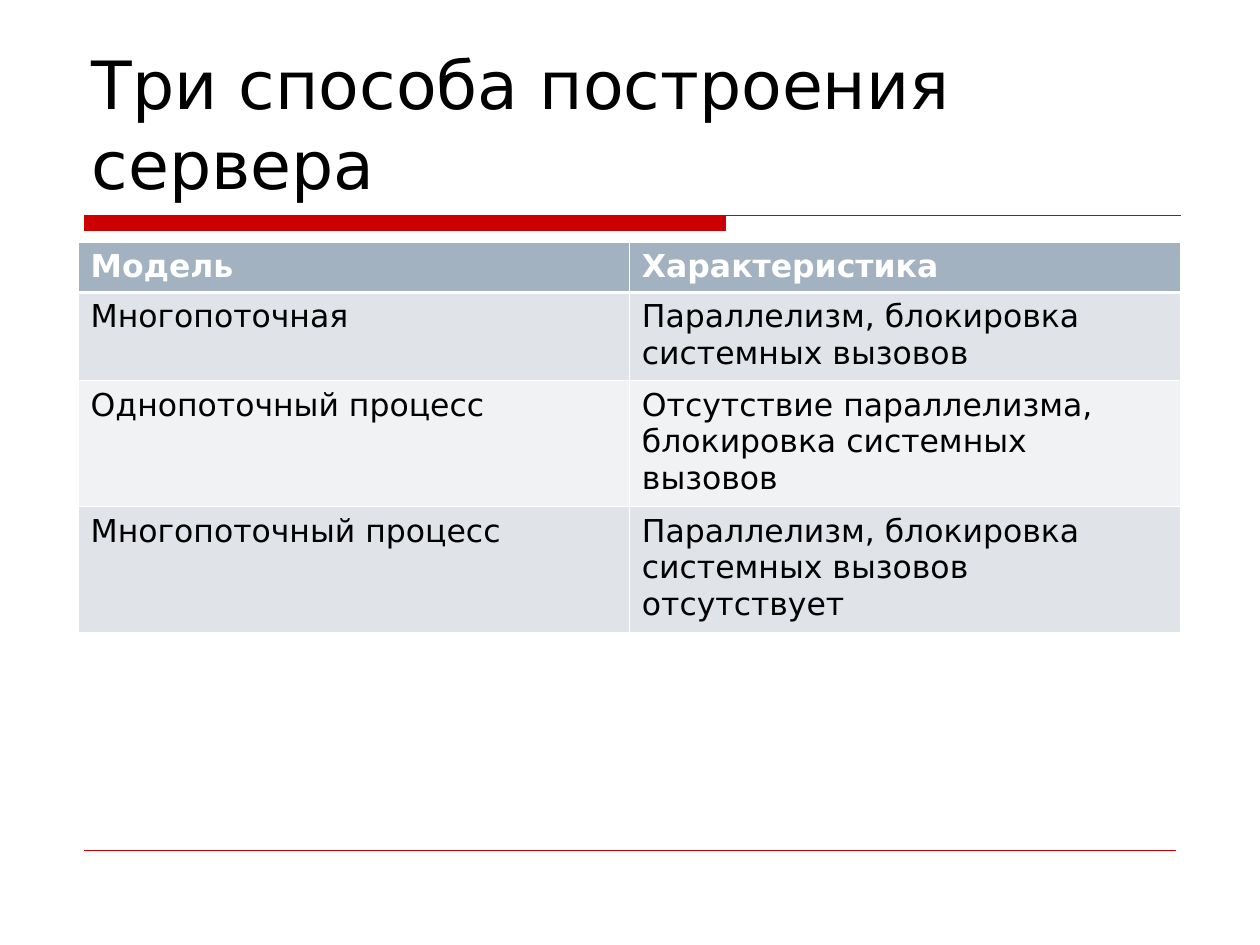
from dataclasses import dataclass

from lxml import etree
from pptx import Presentation, util as u
from pptx.dml.color import RGBColor
from pptx.enum import shapes, text
from pptx.oxml import ns

WIDTH, HEIGHT = 10, 7.5
FONT = "DejaVu Sans"
RED, WHITE, BLACK = "CC0000", "FFFFFF", "000000"
HEADER_FILL, BAND_FILLS = "A3B2C1", ("E0E4E9", "F0F2F4")
THIN, THICK = 0.45, 1.47
MARGIN = 0.67


@dataclass
class Row:
    model: str
    feature: str
    height: float


ROWS = [
    Row("Модель", "Характеристика", 0.4),
    Row("Многопоточная", "Параллелизм, блокировка системных вызовов", 0.7),
    Row("Однопоточный процесс", "Отсутствие параллелизма, блокировка системных вызовов", 0.98),
    Row("Многопоточный процесс", "Параллелизм, блокировка системных вызовов отсутствует", 0.98),
]


def colour(value: str) -> RGBColor:
    return RGBColor.from_string(value)


def write(text_frame, content: str, size: float, hue: str, bold: bool = False) -> None:
    text_frame.text = content
    font = text_frame.paragraphs[0].runs[0].font
    font.name, font.size, font.bold = FONT, u.Pt(size), bold
    font.color.rgb = colour(hue)


def set_borders(cell, top: float, bottom: float) -> None:
    properties = cell._tc.get_or_add_tcPr()
    widths = {"a:lnL": THIN, "a:lnR": THIN, "a:lnT": top, "a:lnB": bottom}
    for position, (tag, width) in enumerate(widths.items()):
        line = etree.Element(ns.qn(tag), w=str(u.Pt(width)))
        fill = etree.SubElement(line, ns.qn("a:solidFill"))
        etree.SubElement(fill, ns.qn("a:srgbClr"), val=WHITE)
        properties.insert(position, line)


def add_title_rule(slide) -> None:
    """A thick bar that runs on as a thin line, in hundredths of an inch."""
    left, right, bar_end, top, bottom = 67, 937, 576, 171, 183
    builder = slide.shapes.build_freeform(left, top, scale=u.Inches(0.01))
    builder.add_line_segments([(bar_end, top), (bar_end, bottom), (left, bottom)], close=True)
    builder.move_to(left, top)
    builder.add_line_segments([(right, top)], close=False)
    shape = builder.convert_to_shape()
    shape.shadow.inherit = False
    shape.fill.solid()
    shape.fill.fore_color.rgb = colour(RED)
    shape.line.color.rgb = colour(RED)
    shape.line.width = u.Pt(0.75)


def add_footer_line(slide) -> None:
    y = u.Inches(0.9 * HEIGHT)
    line = slide.shapes.add_connector(
        shapes.MSO_CONNECTOR.STRAIGHT, u.Inches(MARGIN), y, u.Inches(WIDTH - MARGIN), y)
    line.line.color.rgb = colour(RED)
    line.line.width = u.Pt(0.25)
    etree.SubElement(line._element.spPr, ns.qn("a:effectLst"))


def add_title(slide, content: str) -> None:
    box = slide.shapes.add_textbox(*map(u.Inches, (0.63, 0.33, 8.75, 1.33)))
    box.text_frame.word_wrap = True
    box.text_frame.vertical_anchor = text.MSO_ANCHOR.BOTTOM
    write(box.text_frame, content, 38, BLACK)


def add_model_table(slide, rows: list[Row]) -> None:
    total = sum(row.height for row in rows)
    frame = slide.shapes.add_table(len(rows), 2, *map(u.Inches, (0.62, 1.92, 8.75, total)))
    table = frame.table
    for index, row in enumerate(rows):
        table.rows[index].height = u.Inches(row.height)
        header = index == 0
        for column, content in enumerate((row.model, row.feature)):
            cell = table.cell(index, column)
            write(cell.text_frame, content, 18, WHITE if header else BLACK, header)
            cell.fill.solid()
            cell.fill.fore_color.rgb = colour(HEADER_FILL if header else BAND_FILLS[(index - 1) % 2])
            set_borders(cell, THICK if index == 1 else THIN, THICK if header else THIN)


def main() -> None:
    presentation = Presentation()
    presentation.slide_width, presentation.slide_height = u.Inches(WIDTH), u.Inches(HEIGHT)
    slide = presentation.slides.add_slide(presentation.slide_layouts[6])

    # Decoration
    add_title_rule(slide)
    add_footer_line(slide)

    # Content
    add_title(slide, "Три способа построения сервера")
    add_model_table(slide, ROWS)
    presentation.save("out.pptx")


if __name__ == "__main__":
    main()
